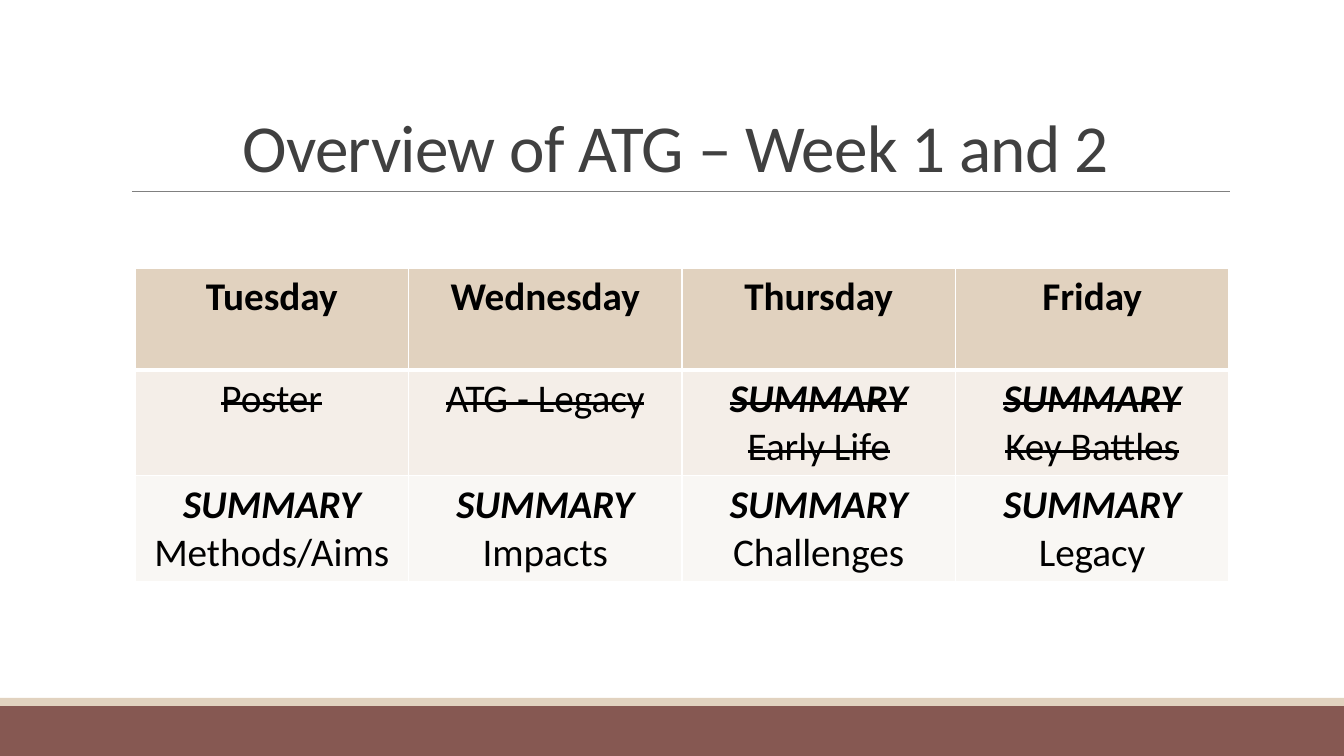
import pptx
import pptx.dml.color
import pptx.enum.shapes
import pptx.enum.text
import pptx.oxml
import pptx.oxml.ns
import pptx.util

PX = 914400 / 100.8
SLIDE_WIDTH, SLIDE_HEIGHT = 1344, 756
FONT = "Calibri"
COLORS = {
    "base": "865852",
    "accent": "E1D2BF",
    "rule": "808080",
    "title": "404040",
    "text": "000000",
    "border": "FFFFFF",
    "odd_row": "F4EEE8",
    "even_row": "F9F7F4",
}
ROW_FILLS = ["accent", "odd_row", "even_row"]
SUMMARY = "SUMMARY"
WEEK_ROWS = [
    ["Tuesday", "Wednesday", "Thursday", "Friday"],
    ["Poster", "ATG - Legacy", f"{SUMMARY}\nEarly Life", f"{SUMMARY}\nKey Battles"],
    [f"{SUMMARY}\n{topic}" for topic in ("Methods/Aims", "Impacts", "Challenges", "Legacy")],
]
HEADER_ROW, FINISHED_ROW = 0, 1


def px(length):
    return pptx.util.Emu(round(length * PX))


def rgb(name):
    return pptx.dml.color.RGBColor.from_string(COLORS[name])


def format_run(run, size, color, bold=False, italic=False):
    run.font.name = FONT
    run.font.size = pptx.util.Pt(size)
    run.font.bold = bold
    run.font.italic = italic
    run.font.color.rgb = rgb(color)


def add_footer(slide, left, top, width, height):
    stripe = 8
    bands = [
        ("base", top + stripe, height - stripe),
        ("accent", top, stripe),
    ]
    for color, band_top, band_height in bands:
        shape = slide.shapes.add_shape(
            pptx.enum.shapes.MSO_SHAPE.RECTANGLE,
            px(left), px(band_top), px(width), px(band_height))
        shape.shadow.inherit = False
        shape.fill.solid()
        shape.fill.fore_color.rgb = rgb(color)
        shape.line.fill.background()


def add_title(slide, left, top, width, height):
    bottom = top + height
    rule = slide.shapes.add_connector(
        pptx.enum.shapes.MSO_CONNECTOR.STRAIGHT,
        px(left + 11), px(bottom), px(left + width), px(bottom))
    rule.line.color.rgb = rgb("rule")
    rule.line.width = pptx.util.Pt(0.5)
    rule._element.spPr.append(pptx.oxml.parse_xml(
        f'<a:effectLst {pptx.oxml.ns.nsdecls("a")}/>'))

    title = slide.shapes.title
    title.left, title.top = px(left), px(top)
    title.width, title.height = px(width), px(height)
    text_frame = title.text_frame
    text_frame.text = "Overview of ATG – Week 1 and 2"
    text_frame.word_wrap = True
    text_frame.auto_size = pptx.enum.text.MSO_AUTO_SIZE.NONE
    text_frame.vertical_anchor = pptx.enum.text.MSO_ANCHOR.BOTTOM
    paragraph = text_frame.paragraphs[0]
    paragraph.alignment = pptx.enum.text.PP_ALIGN.CENTER
    paragraph.line_spacing = 0.85
    run = paragraph.runs[0]
    format_run(run, 48, "title")
    run._r.get_or_add_rPr().set("spc", "-50")


def add_borders(cell, row_index):
    widths = {
        "lnL": 1,
        "lnR": 1,
        "lnT": 3 if row_index == HEADER_ROW + 1 else 1,
        "lnB": 3 if row_index == HEADER_ROW else 1,
    }
    properties = cell._tc.get_or_add_tcPr()
    for side, width in widths.items():
        properties.append(pptx.oxml.parse_xml(
            f'<a:{side} {pptx.oxml.ns.nsdecls("a")} w="{pptx.util.Pt(width)}">'
            f'<a:solidFill><a:srgbClr val="{COLORS["border"]}"/></a:solidFill>'
            f'</a:{side}>'))


def fill_cell(cell, text, row_index):
    add_borders(cell, row_index)
    cell.fill.solid()
    cell.fill.fore_color.rgb = rgb(ROW_FILLS[row_index])
    cell.text_frame.text = text
    for paragraph in cell.text_frame.paragraphs:
        paragraph.alignment = pptx.enum.text.PP_ALIGN.CENTER
        is_summary = paragraph.text == SUMMARY
        for run in paragraph.runs:
            format_run(run, 28, "text",
                       bold=is_summary or row_index == HEADER_ROW, italic=is_summary)
            if row_index == FINISHED_ROW:
                run._r.get_or_add_rPr().set("strike", "sngStrike")


def add_week_table(slide, left, top, width, height):
    row_count, column_count = len(WEEK_ROWS), len(WEEK_ROWS[0])
    table = slide.shapes.add_table(
        row_count, column_count, px(left), px(top), px(width), px(height)).table
    for column in table.columns:
        column.width = px(width / column_count)
    for row_index, texts in enumerate(WEEK_ROWS):
        table.rows[row_index].height = px(height / row_count)
        for column_index, text in enumerate(texts):
            fill_cell(table.cell(row_index, column_index), text, row_index)


def main():
    presentation = pptx.Presentation()
    presentation.slide_width = px(SLIDE_WIDTH)
    presentation.slide_height = px(SLIDE_HEIGHT)
    slide = presentation.slides.add_slide(presentation.slide_layouts.get_by_name("Title Only"))
    add_footer(slide, 0, 698, SLIDE_WIDTH, 58)
    add_title(slide, 121, 31, 1109, 160)
    add_week_table(slide, 135, 268, 1094, 306)
    presentation.save("out.pptx")


if __name__ == "__main__":
    main()
